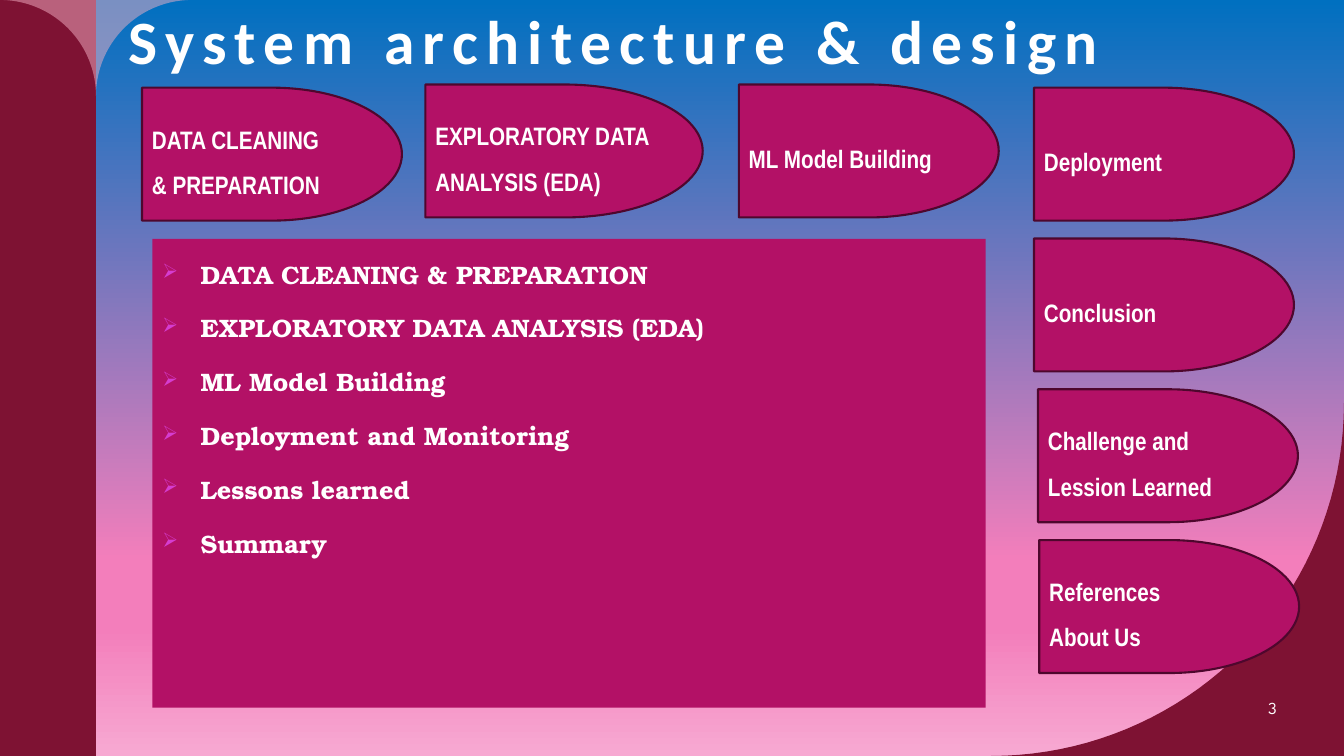
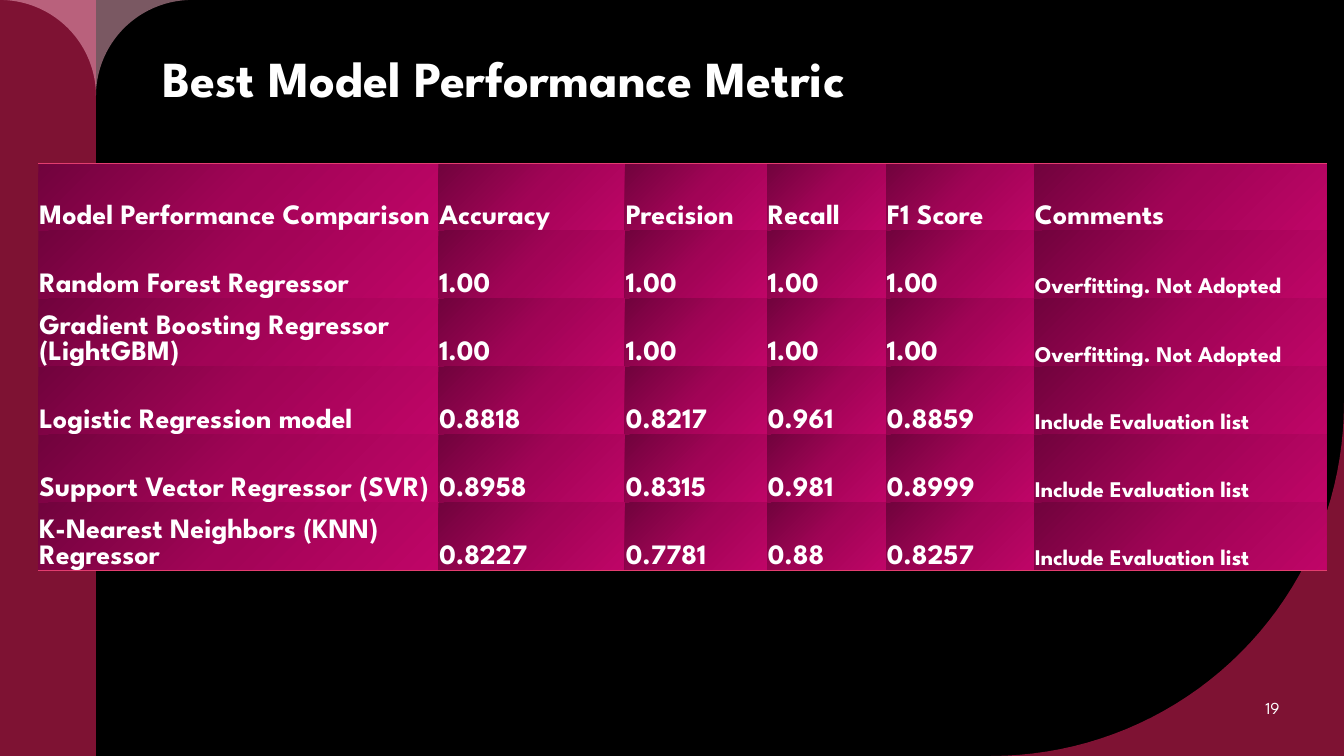
from math import cos, radians, sin

from lxml import etree
from pptx import Presentation
from pptx.dml.color import RGBColor
from pptx.enum.shapes import MSO_SHAPE
from pptx.enum.text import MSO_ANCHOR, PP_ALIGN
from pptx.oxml.ns import qn
from pptx.util import Cm, Pt

RECTANGLE = MSO_SHAPE.RECTANGLE
DELAY = MSO_SHAPE.FLOWCHART_DELAY
TOP, MIDDLE, BOTTOM = MSO_ANCHOR.TOP, MSO_ANCHOR.MIDDLE, MSO_ANCHOR.BOTTOM
LEFT, CENTER = PP_ALIGN.LEFT, PP_ALIGN.CENTER

WIDTH, HEIGHT = 33.87, 19.05
BAND, CORNER = 2.42, 8.89
NO_TABLE_STYLE = "{2D5ABB26-0587-4C30-8999-92F81FD0307C}"

COLORS = {
    "text": "FFFFFF",
    "band": "7E1233",
    "flare": "F4B1C5",
    "panel": "B31166",
    "outline": "4E072D",
    "bullet": "D53DD0",
    "rule": "E33D6F",
    "black": "000000",
}
SKY = [(0, "0070C0"), (74, "F37EBB"), (83, "F37EBB"), (100, "F7A9D2")]
CELL = [(0, "71033D"), (50, "A10456"), (100, "BF0567")]

FONTS = {
    "wide title": {"name": "Calibri", "size": Pt(44), "bold": True},
    "title": {"name": "League Spartan", "size": Pt(36), "bold": True},
    "number": {"name": "League Spartan", "size": Pt(12), "bold": False},
    "step": {"name": "Arial Narrow", "size": Pt(18), "bold": True},
    "list": {"name": "TeX Gyre Bonum", "size": Pt(18), "bold": True},
    "cell": {"name": "League Spartan", "size": Pt(20), "bold": True},
    "comment": {"name": "League Spartan", "size": Pt(16), "bold": True},
}

TOP_STEPS = [
    (3.58, 2.21, 6.55, ["DATA CLEANING", "& PREPARATION"]),
    (10.72, 2.13, 6.99, ["EXPLORATORY DATA ANALYSIS (EDA)"]),
    (18.62, 2.13, 6.55, ["ML Model Building"]),
]
SIDE_STEPS = [
    (26.06, ["Deployment"]),
    (26.06, ["Conclusion"]),
    (26.16, ["Challenge and Lession Learned"]),
    (26.19, ["References", "About Us"]),
]
TOPICS = [
    "DATA CLEANING & PREPARATION",
    "EXPLORATORY DATA ANALYSIS (EDA)",
    "ML Model Building",
    "Deployment and Monitoring",
    "Lessons learned",
    "Summary",
]
OVERFITTING, INCLUDED = "Overfitting. Not Adopted", "Include Evaluation list"
METRICS = [
    ("Model Performance Comparison", "Accuracy", "Precision", "Recall", "F1 Score", "Comments"),
    ("Random Forest Regressor", "1.00", "1.00", "1.00", "1.00", OVERFITTING),
    ("Gradient Boosting Regressor (LightGBM)", "1.00", "1.00", "1.00", "1.00", OVERFITTING),
    ("Logistic Regression model", "0.8818", "0.8217", "0.961", "0.8859", INCLUDED),
    ("Support Vector Regressor (SVR)", "0.8958", "0.8315", "0.981", "0.8999", INCLUDED),
    ("K-Nearest Neighbors (KNN) Regressor", "0.8227", "0.7781", "0.88", "0.8257", INCLUDED),
]
COLUMN_WIDTHS = [10.08, 4.7, 3.58, 3, 3.73, 7.37]


def rgb(name):
    return RGBColor.from_string(COLORS[name])


def arc(center_x, center_y, radius, start, end, steps=40):
    angles = [radians(start + (end - start) * i / steps) for i in range(steps + 1)]
    return [(center_x + radius * cos(a), center_y + radius * sin(a)) for a in angles]


class Deck:
    """Holds the shared style and the slide being drawn."""

    def __init__(self):
        self.presentation = Presentation()
        self.presentation.slide_width = Cm(WIDTH)
        self.presentation.slide_height = Cm(HEIGHT)
        self.slide = None

    def start_slide(self, number, gradient=None):
        self.slide = self.presentation.slides.add_slide(self.presentation.slide_layouts[6])
        fill = self.slide.background.fill
        if gradient:
            self.gradient(fill, self.slide.element, gradient, 90)
        else:
            fill.solid()
            fill.fore_color.rgb = rgb("black")
        self.panel(RECTANGLE, (0, 0, BAND, HEIGHT), "band")
        flare = arc(2 * BAND, BAND, BAND, 270, 180) + arc(0, BAND, BAND, 0, -90)
        self.outline(flare, "flare", 50)
        corner = arc(WIDTH - CORNER, HEIGHT - CORNER, CORNER, 90, 0)
        self.outline(corner + [(WIDTH, HEIGHT)], "band")
        self.text_box((30.27, 16.61, 3.6, 2.44), number, "number", anchor=MIDDLE, align=CENTER)

    def gradient(self, fill, element, stops, angle):
        fill.gradient()
        fill.gradient_angle = 360 - angle
        stop_list = next(element.iter(qn("a:gsLst")))
        for stop in list(stop_list):
            stop_list.remove(stop)
        for position, color in stops:
            stop = etree.SubElement(stop_list, qn("a:gs"), pos=str(position * 1000))
            etree.SubElement(stop, qn("a:srgbClr"), val=color)

    def paint(self, shape, color, line=None):
        shape.shadow.inherit = False
        shape.fill.solid()
        shape.fill.fore_color.rgb = rgb(color)
        if line:
            shape.line.color.rgb = rgb(line)
            shape.line.width = Pt(1.5)
        else:
            shape.line.fill.background()

    def panel(self, kind, box, color, line=None):
        shape = self.slide.shapes.add_shape(kind, *map(Cm, box))
        self.paint(shape, color, line)
        return shape

    def outline(self, points, color, opacity=100):
        corners = [(Cm(x), Cm(y)) for x, y in points]
        builder = self.slide.shapes.build_freeform(*corners[0])
        builder.add_line_segments(corners[1:], close=True)
        shape = builder.convert_to_shape()
        self.paint(shape, color)
        if opacity < 100:
            fill_color = next(shape.element.spPr.iter(qn("a:srgbClr")))
            etree.SubElement(fill_color, qn("a:alpha"), val=str(opacity * 1000))

    def set_text(self, frame, lines, font, anchor=TOP, **paragraph_format):
        frame.word_wrap = True
        frame.vertical_anchor = anchor
        paragraph_format = {"alignment": LEFT, **paragraph_format}
        for index, line in enumerate(lines):
            paragraph = frame.paragraphs[0] if index == 0 else frame.add_paragraph()
            for key, value in paragraph_format.items():
                setattr(paragraph, key, value)
            run = paragraph.add_run()
            run.text = line
            run.font.color.rgb = rgb("text")
            for key, value in FONTS[font].items():
                setattr(run.font, key, value)

    def text_box(self, box, text, font, anchor=TOP, align=LEFT):
        shape = self.slide.shapes.add_textbox(*map(Cm, box))
        self.set_text(shape.text_frame, [text], font, anchor, alignment=align)
        return shape

    def title(self, box, text, font, margin_top, spacing=0):
        frame = self.text_box(box, text, font).text_frame
        frame.margin_top = Cm(margin_top)
        if spacing:
            properties = frame.paragraphs[0].runs[0].font._element
            properties.set("spc", str(spacing * 100))

    def step(self, left, top, width, lines):
        shape = self.panel(DELAY, (left, top, width, 3.35), "panel", "outline")
        self.set_text(shape.text_frame, lines, "step", MIDDLE, line_spacing=1.5)

    def bullet_panel(self, box, lines):
        frame = self.panel(RECTANGLE, box, "panel").text_frame
        self.set_text(frame, lines, "list", line_spacing=1.5, space_after=Pt(6))
        indent = Cm(0.97)
        for paragraph in frame.paragraphs:
            properties = paragraph._p.get_or_add_pPr()
            properties.set("marL", str(int(indent)))
            properties.set("indent", str(-int(indent)))
            color = etree.SubElement(properties, qn("a:buClr"))
            etree.SubElement(color, qn("a:srgbClr"), val=COLORS["bullet"])
            etree.SubElement(properties, qn("a:buSzPct"), val="80000")
            etree.SubElement(properties, qn("a:buChar"), char="➢")

    def cell_border(self, cell, side):
        line = etree.Element(qn(side), w=str(int(Pt(1))))
        fill = etree.SubElement(line, qn("a:solidFill"))
        etree.SubElement(fill, qn("a:srgbClr"), val=COLORS["rule"])
        cell._tc.get_or_add_tcPr().insert(0, line)

    def table(self, left, top, row_height, widths, rows):
        box = (left, top, sum(widths), row_height * len(rows))
        frame = self.slide.shapes.add_table(len(rows), len(widths), *map(Cm, box))
        table = frame.table
        table.first_row = table.horz_banding = False
        next(frame._element.iter(qn("a:tableStyleId"))).text = NO_TABLE_STYLE
        for column, width in zip(table.columns, widths):
            column.width = Cm(width)
        margins = {"margin_left": 0.02, "margin_right": 0.02, "margin_top": 0.02, "margin_bottom": 0}
        last_row, last_column = len(rows) - 1, len(widths) - 1
        for row_index, row in enumerate(rows):
            table.rows[row_index].height = Cm(row_height)
            for column_index, text in enumerate(row):
                cell = table.cell(row_index, column_index)
                for key, value in margins.items():
                    setattr(cell, key, Cm(value))
                is_comment = row_index > 0 and column_index == last_column
                self.set_text(cell.text_frame, [text], "comment" if is_comment else "cell")
                cell.vertical_anchor = BOTTOM
                self.gradient(cell.fill, cell._tc, CELL, 45)
                if row_index == 0:
                    self.cell_border(cell, "a:lnT")
                elif row_index == last_row:
                    self.cell_border(cell, "a:lnB")


def main():
    deck = Deck()

    deck.start_slide("3", SKY)
    deck.title((3, -0.15, 26.47, 2.67), "System architecture & design", "wide title", 0.23, spacing=6)
    deck.bullet_panel((3.84, 6.02, 21, 11.81), TOPICS)
    for left, top, width, lines in TOP_STEPS:
        deck.step(left, top, width, lines)
    for index, (left, lines) in enumerate(SIDE_STEPS):
        deck.step(left, 2.21 + 3.8 * index, 6.55, lines)

    deck.start_slide("19")
    deck.title((3.84, 0.69, 26.47, 5.33), "Best Model Performance Metric", "title", 0.5)
    deck.table(0.97, 4.11, 1.71, COLUMN_WIDTHS, METRICS)

    deck.presentation.save("out.pptx")


if __name__ == "__main__":
    main()
